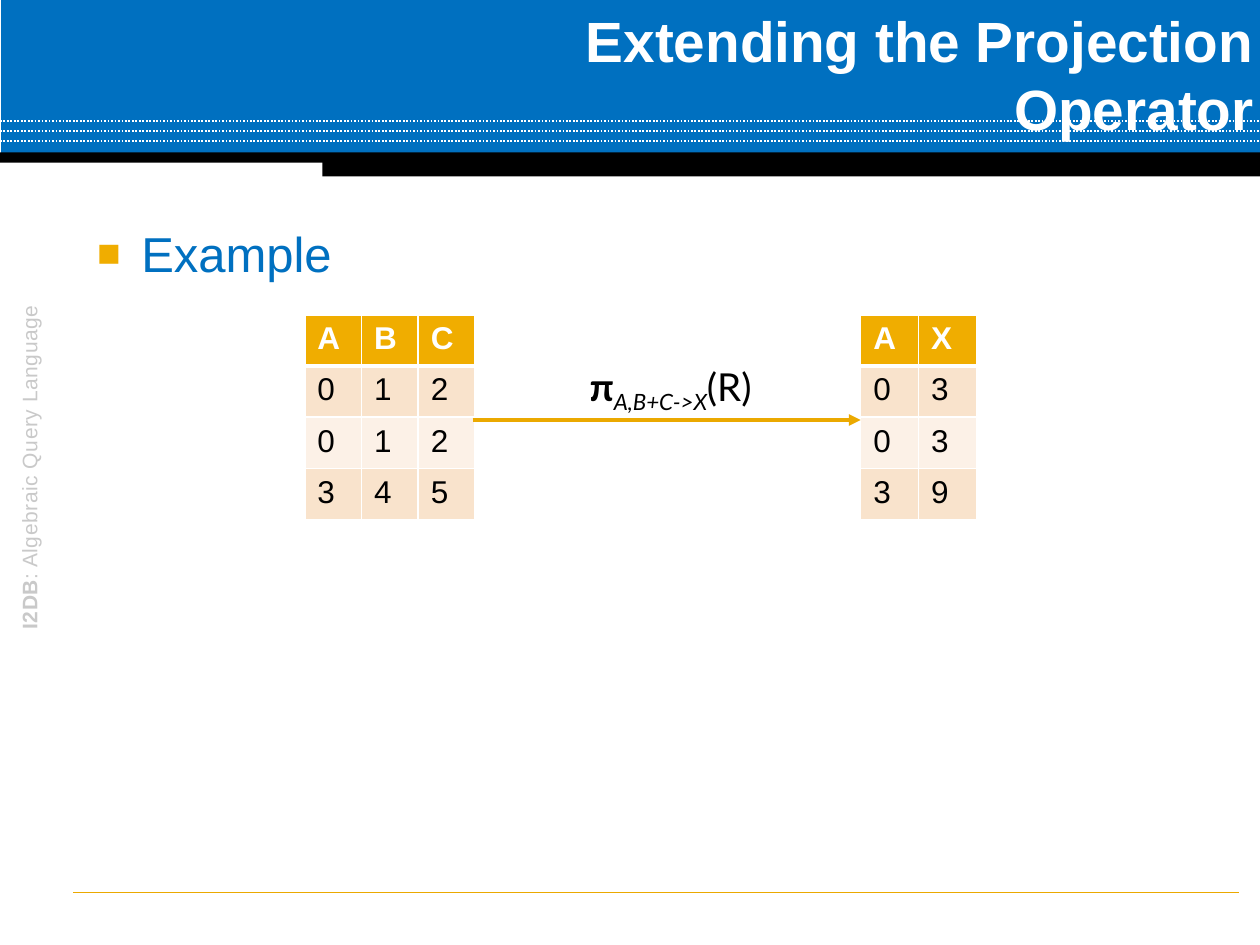
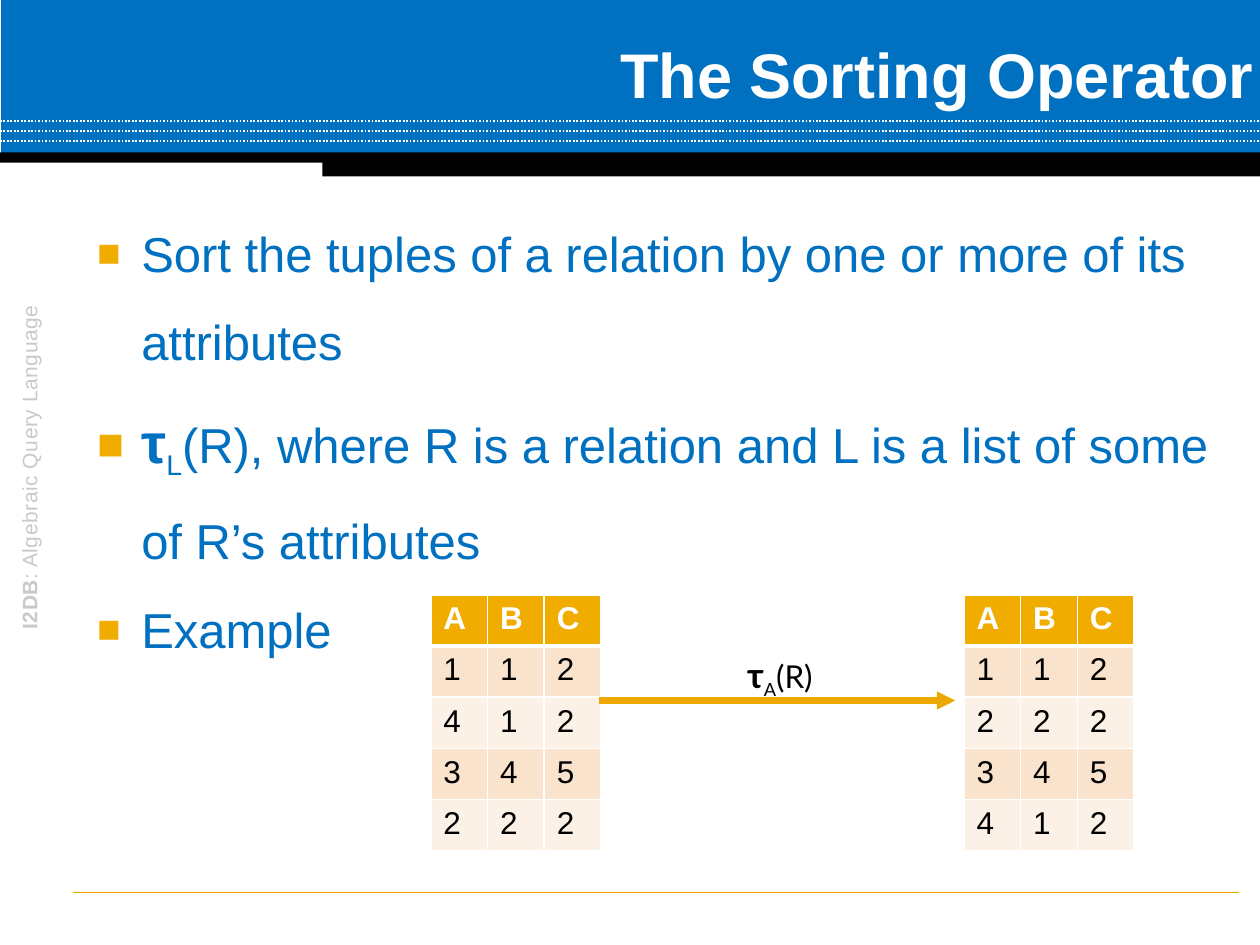
import pptx
import pptx.util
import pptx.dml.color
import pptx.enum.dml
import pptx.enum.shapes
import pptx.enum.text
import pptx.oxml
import pptx.oxml.ns

Pt = pptx.util.Pt
ALIGN = pptx.enum.text.PP_ALIGN
ANCHOR = pptx.enum.text.MSO_ANCHOR
FIT = pptx.enum.text.MSO_AUTO_SIZE

THEME = {
    "blue": "0070C0", "gold": "F0AD00", "line": "EBA900", "white": "FFFFFF",
    "black": "000000", "gray": "C9C9C9", "bands": ("F9E3CC", "FCF1E7"),
    "font": "Arial", "label_font": "Lato",
    "body": 28, "symbol": 32, "cell": 18, "side": 12,
    "grid": 1, "header_rule": 3, "row_height": 29.2,
}

SLIDES = [
    {
        "title": "Extending the Projection Operator", "title_size": 32.4,
        "bullets": [[("Example", {})]],
        "tables": [
            ((174.2, 180, 97.2), ["ABC", "012", "012", "345"]),
            ((491.8, 180, 66.2), ["AX", "03", "03", "39"]),
        ],
        "arrow": (270, 491.8, 240, 2.25),
        "label": ((329.8, 203.8, 111.6, 33.8), [
            ("π", {"size": 22, "bold": True}),
            ("A,B+C->X", {"size": 22, "italic": True, "baseline": -25}),
            ("(R)", {"size": 22}),
        ]),
    },
    {
        "title": "The Sorting Operator", "title_size": 36,
        "bullets": [
            [("Sort the tuples of a relation by one or more of its attributes", {})],
            [("τ", {"size": THEME["symbol"], "bold": True}),
             ("L", {"baseline": -25}),
             ("(R), where R is a relation and L is a list of some of R’s attributes", {})],
            [("Example", {})],
        ],
        "tables": [
            ((246.2, 340, 97.2), ["ABC", "112", "412", "345", "222"]),
            ((550.8, 340, 97.2), ["ABC", "112", "222", "345", "412"]),
        ],
        "arrow": (342, 545.8, 400.3, 3.5),
        "label": ((419.8, 370, 57.6, 31.7), [
            ("τ", {"size": 20, "bold": True}),
            ("A", {"size": 18, "baseline": -25}),
            ("(R)", {"size": 18}),
        ]),
    },
]

SIDE_TEXT = [("I2DB", {"bold": True, "spacing": 30}),
             (": Algebraic Query Language", {"spacing": 30})]
BANDS = [((0.7, 0, 719.3, 88.6), "blue"), ((0, 87.1, 720, 5.8), "black"),
         ((184.3, 89.3, 535.7, 11.5), "black")]
DOTTED_LINES = [69.1 + 5.76 * index for index in range(3)]


def color(value):
    return pptx.dml.color.RGBColor.from_string(value)


def apply(target, values):
    for name, value in values.items():
        setattr(target, name, value)


def xml(parent, tag, **attributes):
    element = pptx.oxml.ns.qn("a:" + tag)
    child = parent.makeelement(element, attributes)
    parent.append(child)
    return child


def place(shape, box):
    names = ("left", "top", "width", "height")
    apply(shape, dict(zip(names, map(Pt, box))))


def write(paragraph, runs, size, fill, font=THEME["font"]):
    for text, style in runs:
        run = paragraph.add_run()
        run.text = text
        apply(run.font, {"name": font, "size": Pt(style.get("size", size)),
                         "bold": style.get("bold", False),
                         "italic": style.get("italic", False)})
        run.font.color.rgb = color(fill)
        properties = run._r.get_or_add_rPr()
        if "baseline" in style:
            properties.set("baseline", str(style["baseline"] * 1000))
        if "spacing" in style:
            properties.set("spc", str(style["spacing"]))


def add_line(slide, start, end, fill, width, dash=None, arrow=False):
    straight = pptx.enum.shapes.MSO_CONNECTOR.STRAIGHT
    line = slide.shapes.add_connector(straight, *map(Pt, start + end))
    line.line.color.rgb = color(fill)
    line.line.width = Pt(width)
    if dash:
        line.line.dash_style = dash
    if arrow:
        xml(line.line._get_or_add_ln(), "tailEnd", type="triangle")
    xml(line.element.spPr, "effectLst")
    return line


def add_band(slide, box, fill):
    rectangle = pptx.enum.shapes.MSO_SHAPE.RECTANGLE
    band = slide.shapes.add_shape(rectangle, *map(Pt, box))
    band.shadow.inherit = False
    band.fill.solid()
    band.fill.fore_color.rgb = color(THEME[fill])
    band.line.fill.background()
    return band


def add_text(slide, box, runs, size, fill, font, wrap):
    shape = slide.shapes.add_textbox(*map(Pt, box))
    apply(shape.text_frame, {"word_wrap": wrap, "auto_size": FIT.SHAPE_TO_FIT_TEXT})
    write(shape.text_frame.paragraphs[0], runs, size, fill, font)
    return shape


def move_furniture_to_layout(slide, layout):
    dots = pptx.enum.dml.MSO_LINE.ROUND_DOT
    furniture = [add_band(slide, *BANDS[0])]
    furniture += [add_line(slide, (0, y), (720, y), THEME["white"], 1, dots)
                  for y in DOTTED_LINES]
    furniture += [add_band(slide, *band) for band in BANDS[1:]]
    side = add_text(slide, (5.8, 102.2, 28.8, 329.8), SIDE_TEXT, THEME["side"],
                    THEME["gray"], THEME["font"], True)
    side.text_frame.paragraphs[0].alignment = ALIGN.CENTER
    side.text_frame._txBody.bodyPr.set("vert", "vert270")
    furniture += [side, add_line(slide, (41.8, 509.8), (707.8, 509.8), THEME["line"], 0.5)]
    for number, shape in enumerate(furniture, 100):
        shape.element.xpath(".//p:cNvPr")[0].set("id", str(number))
        layout.shapes.element.append(shape.element)


def fill_title(shape, text, size):
    place(shape, (185.8, 0, 534.2, 84.2))
    apply(shape.text_frame, {
        "vertical_anchor": ANCHOR.MIDDLE, "word_wrap": True, "auto_size": FIT.NONE,
        "margin_left": Pt(7.2), "margin_right": Pt(3.6),
        "margin_top": Pt(3.6), "margin_bottom": Pt(3.6)})
    paragraph = shape.text_frame.paragraphs[0]
    paragraph.alignment = ALIGN.RIGHT
    write(paragraph, [(text, {"bold": True})], size, THEME["white"])


def fill_body(shape, bullets):
    place(shape, (41.8, 103.7, 666, 400.3))
    frame = shape.text_frame
    apply(frame, {"word_wrap": True, "auto_size": FIT.NONE,
                  "margin_left": Pt(4.3), "margin_right": Pt(7.2),
                  "margin_top": Pt(7.2), "margin_bottom": Pt(3.6)})
    for index, runs in enumerate(bullets):
        paragraph = frame.add_paragraph() if index else frame.paragraphs[0]
        apply(paragraph, {"line_spacing": 1.5, "space_before": Pt(0), "space_after": Pt(0)})
        properties = paragraph._p.get_or_add_pPr()
        properties.set("marL", str(Pt(34.6)))
        properties.set("indent", str(Pt(-25.2)))
        xml(xml(properties, "buClr"), "srgbClr", val=THEME["gold"])
        xml(properties, "buSzPct", val="80000")
        xml(properties, "buFont", typeface=THEME["font"])
        xml(properties, "buChar", char="■")
        write(paragraph, runs, THEME["body"], THEME["blue"])


def format_cell(cell, text, row):
    header = row == 0
    properties = cell._tc.get_or_add_tcPr()
    for side in "LRTB":
        heavy = (side, row) in (("B", 0), ("T", 1))
        width = THEME["header_rule" if heavy else "grid"]
        border = xml(properties, "ln" + side, w=str(Pt(width)))
        xml(xml(border, "solidFill"), "srgbClr", val=THEME["white"])
    cell.fill.solid()
    cell.fill.fore_color.rgb = color(THEME["gold"] if header else THEME["bands"][(row - 1) % 2])
    write(cell.text_frame.paragraphs[0], [(text, {"bold": header})], THEME["cell"],
          THEME["white" if header else "black"])


def add_relation(slide, box, rows):
    left, top, width = box
    columns = len(rows[0])
    height = THEME["row_height"]
    frame = slide.shapes.add_table(len(rows), columns, Pt(left), Pt(top),
                                   Pt(width), Pt(height * len(rows)))
    for column in frame.table.columns:
        column.width = Pt(width / columns)
    for row, values in enumerate(rows):
        frame.table.rows[row].height = Pt(height)
        for column, text in enumerate(values):
            format_cell(frame.table.cell(row, column), text, row)


presentation = pptx.Presentation()
apply(presentation, {"slide_width": Pt(720), "slide_height": Pt(540)})
layout = presentation.slide_layouts[1]

for index, content in enumerate(SLIDES):
    slide = presentation.slides.add_slide(layout)
    if index == 0:
        move_furniture_to_layout(slide, layout)
    fill_title(slide.shapes.title, content["title"], content["title_size"])
    fill_body(slide.placeholders[1], content["bullets"])
    for box, rows in content["tables"]:
        add_relation(slide, box, rows)
    start, end, y, width = content["arrow"]
    add_line(slide, (start, y), (end, y), THEME["line"], width, arrow=True)
    box, runs = content["label"]
    add_text(slide, box, runs, THEME["cell"], THEME["black"], THEME["label_font"], False)

presentation.save("out.pptx")
